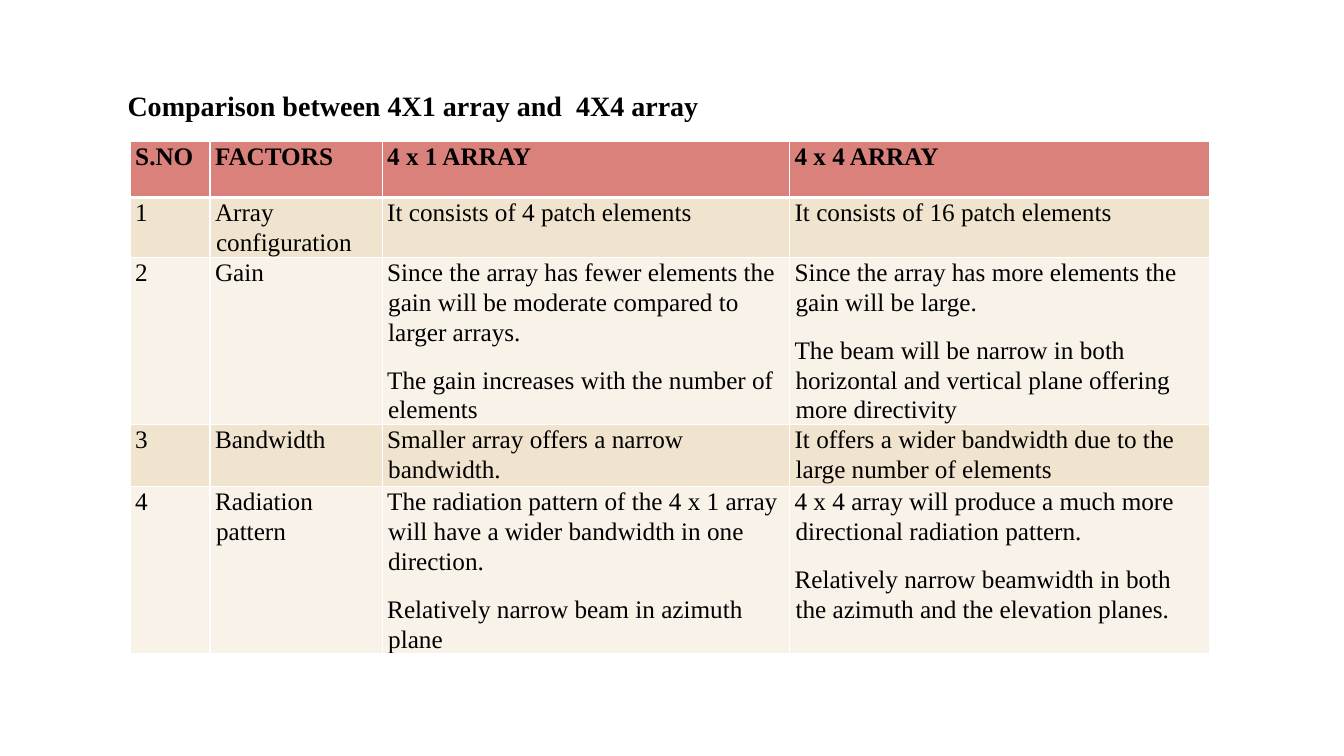
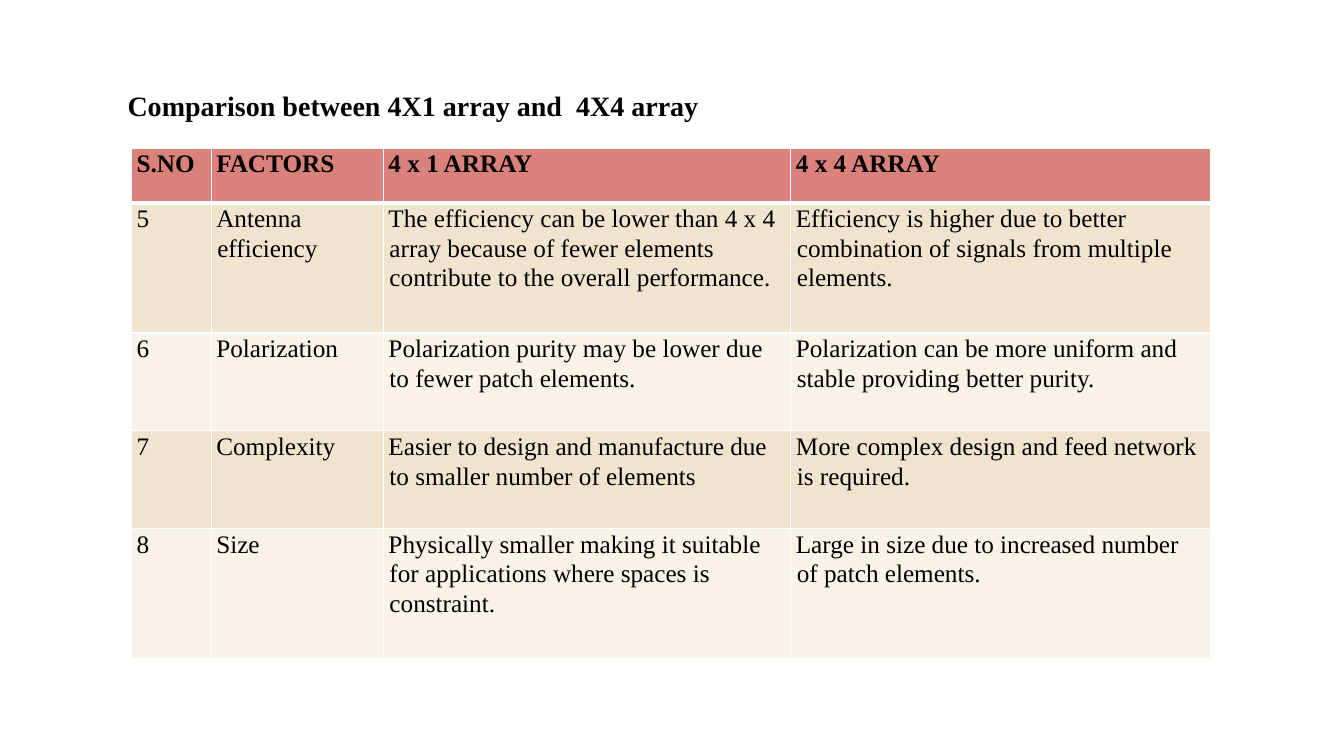
from dataclasses import dataclass

from lxml import etree
from pptx import Presentation
from pptx.dml.color import RGBColor
from pptx.enum import text
from pptx.oxml import ns
from pptx import util as u

# Grid: 160 columns by 90 rows of square units
COLUMNS, ROWS = 160, 90


@dataclass(frozen=True)
class Theme:
    font: str = "Times New Roman"
    ink: str = "000000"
    rule: str = "FFFFFF"
    header: str = "DB817B"
    bands: tuple = ("F1E4CF", "F8F2E9")
    title_size: float = 20
    cell_size: float = 18
    line_spacing: float = 1.07
    space_after: float = 12.8
    thin_rule: float = 1
    thick_rule: float = 3
    cell_inset: float = 0.05
    hanging: float = 0.01


def apply(target, values):
    for name, value in values.items():
        setattr(target, name, value)


class Deck:
    def __init__(self, theme):
        self.theme = theme
        self.presentation = Presentation()
        apply(self.presentation, {"slide_width": u.Inches(13.33),
                                  "slide_height": u.Inches(7.5)})
        self.slide = None

    def x(self, columns):
        return round(self.presentation.slide_width * columns / COLUMNS)

    def y(self, rows):
        return round(self.presentation.slide_height * rows / ROWS)

    def add_slide(self):
        self.slide = self.presentation.slides.add_slide(
            self.presentation.slide_layouts[6])

    def add_text(self, paragraph, words, size, bold):
        run = paragraph.add_run()
        run.text = words
        apply(run.font, {"name": self.theme.font, "size": u.Pt(size), "bold": bold})
        run.font.color.rgb = RGBColor.from_string(self.theme.ink)

    def title(self, words, left, top, width, height):
        box = self.slide.shapes.add_textbox(
            self.x(left), self.y(top), self.x(width), self.y(height))
        frame = box.text_frame
        apply(frame, {"word_wrap": True,
                      "auto_size": text.MSO_AUTO_SIZE.SHAPE_TO_FIT_TEXT})
        self.add_text(frame.paragraphs[0], words, self.theme.title_size, True)

    def table(self, records, left, top, widths, heights):
        shape = self.slide.shapes.add_table(
            len(records), len(widths), self.x(left), self.y(top),
            self.x(sum(widths)), self.y(sum(heights)))
        table = shape.table
        apply(table, {"first_row": False, "horz_banding": False})
        for column, width in zip(table.columns, widths):
            column.width = self.x(width)
        for row, height in zip(table.rows, heights):
            row.height = self.y(height)
        for row_index, record in enumerate(records):
            for column_index, content in enumerate(record):
                self.cell(table.cell(row_index, column_index), content, row_index)

    def cell(self, cell, content, row_index):
        theme = self.theme
        is_header = row_index == 0
        inset = u.Inches(theme.cell_inset)
        apply(cell, {"margin_left": inset, "margin_right": inset,
                     "margin_top": 0, "margin_bottom": 0})
        cell.fill.solid()
        cell.fill.fore_color.rgb = RGBColor.from_string(
            theme.header if is_header else theme.bands[(row_index - 1) % 2])
        self.borders(cell, row_index)

        # Each line of the content is a paragraph with a slight hanging indent
        frame = cell.text_frame
        for index, words in enumerate(content.split("\n")):
            paragraph = frame.add_paragraph() if index else frame.paragraphs[0]
            apply(paragraph, {"line_spacing": theme.line_spacing,
                              "space_after": u.Pt(theme.space_after)})
            properties = paragraph._p.get_or_add_pPr()
            properties.set("marL", str(u.Inches(theme.hanging)))
            properties.set("indent", str(-u.Inches(theme.hanging)))
            self.add_text(paragraph, words, theme.cell_size, is_header)

    def borders(self, cell, row_index):
        # The rule under the header is shared by the first two rows
        thick_side = {0: "lnB", 1: "lnT"}.get(row_index)
        properties = cell._tc.get_or_add_tcPr()
        for position, side in enumerate(("lnL", "lnR", "lnT", "lnB")):
            width = (self.theme.thick_rule if side == thick_side
                     else self.theme.thin_rule)
            line = etree.Element(ns.qn(f"a:{side}"), w=str(u.Pt(width)))
            fill = etree.SubElement(line, ns.qn("a:solidFill"))
            etree.SubElement(fill, ns.qn("a:srgbClr"), val=self.theme.rule)
            properties.insert(position, line)


# Shared content and layout
TITLE = "Comparison between 4X1 array and  4X4 array"
HEADER = ("S.NO", "FACTORS", "4 x 1 ARRAY", "4 x 4 ARRAY")
WIDTHS = (9.5, 20.5, 48.5, 50)

# One entry per slide: table corner, row heights and compared factors
COMPARISONS = [
    {"left": 15.5, "top": 16.8, "heights": (6.7, 6.7, 19.4, 7.4, 19.7), "factors": [
        ("Array configuration",
         "It consists of 4 patch elements",
         "It consists of 16 patch elements"),
        ("Gain",
         "Since the array has fewer elements the gain will be moderate compared "
         "to larger arrays.\nThe gain increases with the number of elements",
         "Since the array has more elements the gain will be large.\n"
         "The beam will be narrow in both horizontal and vertical plane offering "
         "more directivity"),
        ("Bandwidth",
         "Smaller array offers a narrow bandwidth.",
         "It offers a wider bandwidth due to the large number of elements"),
        ("Radiation pattern",
         "The radiation pattern of the 4 x 1 array will have a wider bandwidth "
         "in one direction.\nRelatively narrow beam in azimuth plane",
         "4 x 4 array will produce a much more directional radiation pattern.\n"
         "Relatively narrow beamwidth in both the azimuth and the elevation planes."),
    ]},
    {"left": 15.65, "top": 17.65, "heights": (6.5, 15.5, 11.65, 11.65, 15.5), "factors": [
        ("Antenna efficiency",
         "The efficiency can be lower than 4 x 4 array because of fewer elements "
         "contribute to the overall performance.",
         "Efficiency is higher due to better combination of signals from multiple "
         "elements."),
        ("Polarization",
         "Polarization purity may be lower due to fewer patch elements.",
         "Polarization can be more uniform and stable providing better purity."),
        ("Complexity",
         "Easier to design and manufacture due to smaller number of elements",
         "More complex design and feed network is required."),
        ("Size",
         "Physically smaller making it suitable for applications where spaces is "
         "constraint.",
         "Large in size due to increased number of patch elements."),
    ]},
]


def main():
    deck = Deck(Theme())
    number = 1
    for comparison in COMPARISONS:
        factors = comparison["factors"]
        records = [HEADER] + [(str(index), *factor)
                              for index, factor in enumerate(factors, number)]
        number += len(factors)
        deck.add_slide()
        deck.table(records, comparison["left"], comparison["top"],
                   WIDTHS, comparison["heights"])
        deck.title(TITLE, 14, 10, sum(WIDTHS), 5.25)
    deck.presentation.save("out.pptx")


if __name__ == "__main__":
    main()
